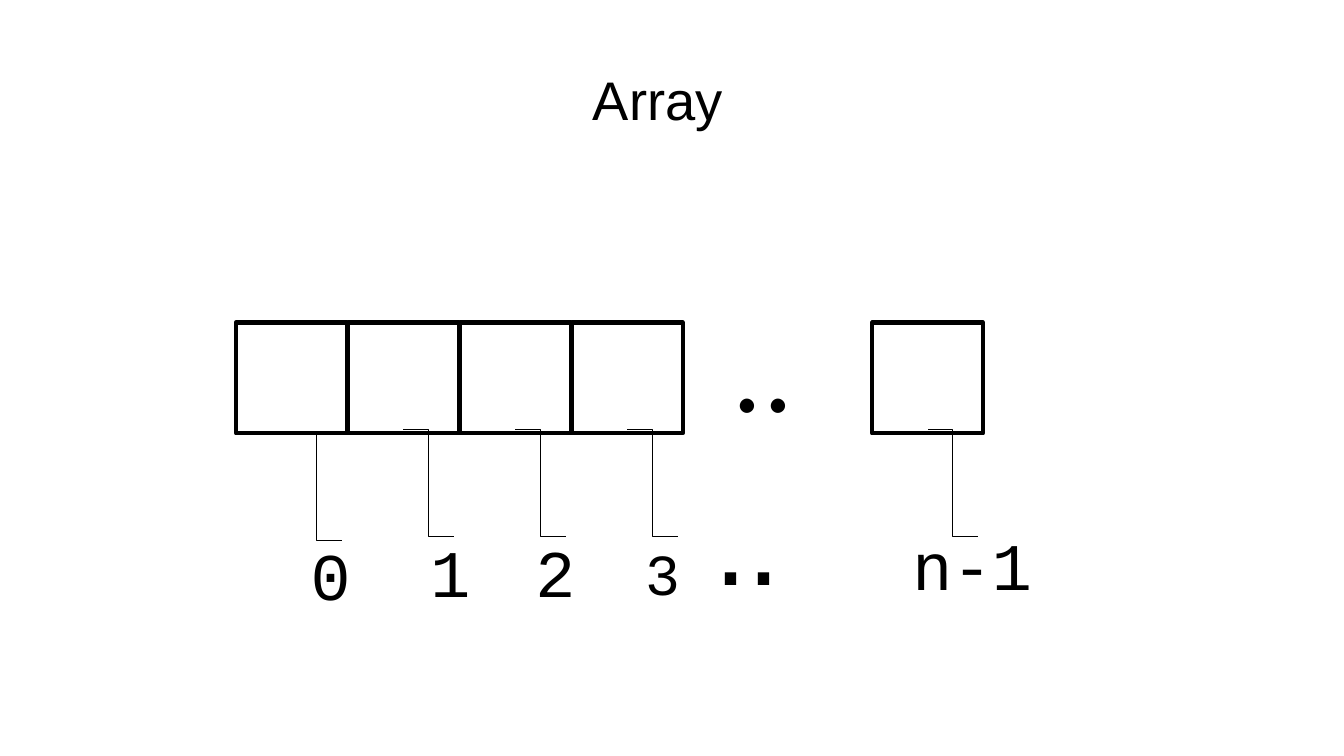
from lxml import etree
from pptx import Presentation, util as u
from pptx.dml.color import RGBColor
from pptx.enum import text as t
from pptx.oxml.ns import qn

WIDE, HIGH = 13.33, 7.5
INK = "000000"
MONO = "Courier New"

# Cells of the array: left edges follow a fixed pitch, the last stands apart
LEFT, TOP, SIDE, PITCH, LAST = 2.34, 3.2, 1.1, 1.11, 8.65
cells = [LEFT + i * PITCH for i in range(4)] + [LAST]
drops = [0, -0.04, -0.04, -0.04, -0.04]  # start of each lead below the cell foot
STEP, FALL = 0.25, 1.06

# box, space before, anchor, runs of (words, font, size, spacing, baseline)
labels = [
    ((5.87, 0.65, 1.59, 0.67), 1.1, "TOP", [("Array", "Arial", 38.8, 0, 0)]),
    ((7.26, 2.9, 0.69, 1.44), 0.8, "MIDDLE", [("..", "Calibri", 84.7, 20, 0)]),
    ((3.07, 5.29, 0.42, 0.81), 0.8, "TOP", [("0", MONO, 47.6, 0, 0)]),
    ((4.26, 5.26, 1.45, 0.81), 0.8, "TOP", [("1\t2", MONO, 47.6, 0, 0)]),
    ((6.39, 4.62, 1.56, 1.44), 0.8, "TOP",
     [("3 ", MONO, 71.5, -10, -10000), ("..", "Arial", 84.7, 20, 0)]),
    ((9.04, 5.19, 1.21, 0.81), 0.8, "TOP", [("n-1", MONO, 47.6, -20, 0)]),
]
TAB = 1.04


def color(code):
    return RGBColor.from_string(code)


def draw(slide, points, width, close=False):
    """Draw an unfilled outline through points given in inches."""
    spots = [(u.Inches(x), u.Inches(y)) for x, y in points]
    pen = slide.shapes.build_freeform(*spots[0])
    pen.add_line_segments(spots[1:], close=close)
    shape = pen.convert_to_shape()
    shape.shadow.inherit = False
    shape.fill.background()
    shape.line.color.rgb = color(INK)
    shape.line.width = u.Pt(width)


def write(slide, box, space, anchor, runs):
    frame = slide.shapes.add_textbox(*map(u.Inches, box)).text_frame
    form = dict(margin_left=0, margin_right=0, margin_bottom=0,
                margin_top=u.Inches(0.01), word_wrap=True,
                auto_size=t.MSO_AUTO_SIZE.SHAPE_TO_FIT_TEXT,
                vertical_anchor=t.MSO_ANCHOR[anchor])
    for key, value in form.items():
        setattr(frame, key, value)
    para = frame.paragraphs[0]
    para.space_before = u.Pt(space)
    props = para._p.get_or_add_pPr()
    props.set("marL", str(u.Inches(0.01)))
    if any("\t" in run[0] for run in runs):
        tabs = etree.SubElement(props, qn("a:tabLst"))
        etree.SubElement(tabs, qn("a:tab"), pos=str(u.Inches(TAB)), algn="l")
    for words, face, size, gap, base in runs:
        run = para.add_run()
        run.text = words
        for key, value in dict(name=face, size=u.Pt(size)).items():
            setattr(run.font, key, value)
        run.font.color.rgb = color(INK)
        for key, value in dict(spc=gap, baseline=base).items():
            if value:
                run._r.get_or_add_rPr().set(key, str(value))


def main():
    deck = Presentation()
    deck.slide_width, deck.slide_height = u.Inches(WIDE), u.Inches(HIGH)
    slide = deck.slides.add_slide(deck.slide_layouts[6])
    foot = TOP + SIDE
    for x, drop in zip(cells, drops):
        right = x + SIDE
        draw(slide, [(x, TOP), (x, foot), (right, foot), (right, TOP)], 2.89, True)
        start, y = x + SIDE / 2, foot + drop
        bend, end = start + STEP, start + 2 * STEP
        draw(slide, [(end, y + FALL), (bend, y + FALL), (bend, y), (start, y)], 0.75)
    for label in labels:
        write(slide, *label)
    deck.save("out.pptx")


if __name__ == "__main__":
    main()
